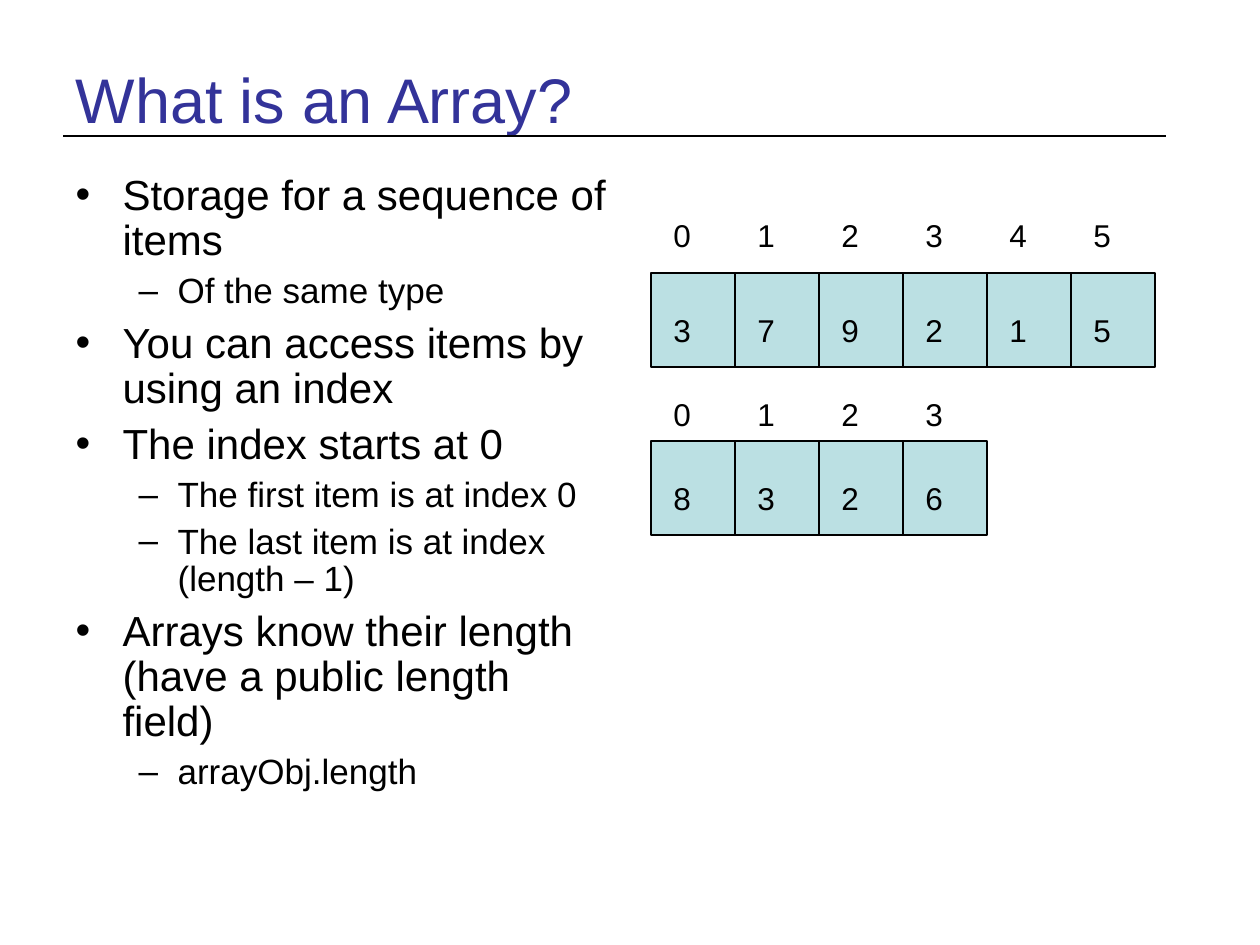
from dataclasses import dataclass

import pptx
import pptx.dml.color
import pptx.enum.shapes
import pptx.enum.text
import pptx.oxml.ns
import pptx.util
from lxml import etree

EMU_PER_PX = 914400 / 126


@dataclass(frozen=True)
class Theme:
    font: str = "Arial"
    ink: str = "000000"
    title: str = "333399"
    cell: str = "BBE0E3"
    title_size: int = 36
    cell_size: int = 18
    rule_width: float = 1.5
    cell_width: float = 0.75


@dataclass(frozen=True)
class BulletLevel:
    mark: str
    indent: int
    hanging: int
    size: int
    space_before: int


@dataclass(frozen=True)
class Point:
    text: str
    level: int = 0


@dataclass(frozen=True)
class ArrayDiagram:
    values: tuple[int, ...]
    top: int
    index_top: int
    dividers: int


THEME = Theme()
LEVELS = (BulletLevel("•", 47, 47, 24, 6), BulletLevel("–", 102, 39, 20, 5))

POINTS = (
    Point("Storage for a sequence of items"),
    Point("Of the same type", 1),
    Point("You can access items by using an index"),
    Point("The index starts at 0"),
    Point("The first item is at index 0", 1),
    Point("The last item is at index (length – 1)", 1),
    Point("Arrays know their length (have a public length field)"),
    Point("arrayObj.length", 1),
)

ARRAYS = (
    ArrayDiagram((3, 7, 9, 2, 1, 5), top=273, index_top=210, dividers=5),
    ArrayDiagram((8, 3, 2, 6), top=441, index_top=389, dividers=4),
)
ARRAY_LEFT = 651
CELL_WIDTH, CELL_HEIGHT = 84, 94
LABEL_WIDTH, LABEL_HEIGHT = 63, 50
LABEL_INSET = 10
VALUE_DROP = 32


def px(length: int) -> pptx.util.Emu:
    return pptx.util.Emu(round(length * EMU_PER_PX))


def rgb(color: str) -> pptx.dml.color.RGBColor:
    return pptx.dml.color.RGBColor.from_string(color)


def add_run(paragraph, text: str, size: int, color: str) -> None:
    run = paragraph.add_run()
    run.text = text
    run.font.name = THEME.font
    run.font.size = pptx.util.Pt(size)
    run.font.color.rgb = rgb(color)


def place(shape, left: int, top: int, width: int, height: int) -> None:
    shape.left, shape.top = px(left), px(top)
    shape.width, shape.height = px(width), px(height)


def add_line(slide, x1: int, y1: int, x2: int, y2: int, width: float) -> None:
    line = slide.shapes.add_connector(
        pptx.enum.shapes.MSO_CONNECTOR.STRAIGHT, px(x1), px(y1), px(x2), px(y2)
    )
    line.line.color.rgb = rgb(THEME.ink)
    line.line.width = pptx.util.Pt(width)
    properties = line.element.find(pptx.oxml.ns.qn("p:spPr"))
    etree.SubElement(properties, pptx.oxml.ns.qn("a:effectLst"))


def set_bullet(paragraph, level: BulletLevel) -> None:
    properties = paragraph._p.get_or_add_pPr()
    properties.set("marL", str(px(level.indent)))
    properties.set("indent", str(-px(level.hanging)))
    bullet_color = etree.SubElement(properties, pptx.oxml.ns.qn("a:buClr"))
    etree.SubElement(bullet_color, pptx.oxml.ns.qn("a:srgbClr"), val=THEME.ink)
    etree.SubElement(properties, pptx.oxml.ns.qn("a:buChar"), char=level.mark)


def write_title(slide, text: str) -> None:
    title = slide.shapes.title
    place(title, 63, 38, 1134, 120)
    frame = title.text_frame
    frame.auto_size = pptx.enum.text.MSO_AUTO_SIZE.NONE
    frame.vertical_anchor = pptx.enum.text.MSO_ANCHOR.MIDDLE
    heading = frame.paragraphs[0]
    heading.alignment = pptx.enum.text.PP_ALIGN.LEFT
    add_run(heading, text, THEME.title_size, THEME.title)


def write_points(slide, points: tuple[Point, ...]) -> None:
    body = slide.placeholders[1]
    place(body, 63, 168, 557, 677)
    frame = body.text_frame
    frame.auto_size = pptx.enum.text.MSO_AUTO_SIZE.NONE
    for number, point in enumerate(points):
        level = LEVELS[point.level]
        paragraph = frame.add_paragraph() if number else frame.paragraphs[0]
        set_bullet(paragraph, level)
        paragraph.level = point.level
        paragraph.line_spacing = 0.9
        paragraph.space_before = pptx.util.Pt(level.space_before if number else 0)
        add_run(paragraph, point.text, level.size, THEME.ink)


def add_label(slide, column: int, top: int, number: int) -> None:
    left = ARRAY_LEFT + column * CELL_WIDTH + LABEL_INSET
    label = slide.shapes.add_textbox(
        px(left), px(top), px(LABEL_WIDTH), px(LABEL_HEIGHT)
    )
    label.text_frame.word_wrap = True
    label.text_frame.auto_size = pptx.enum.text.MSO_AUTO_SIZE.SHAPE_TO_FIT_TEXT
    add_run(label.text_frame.paragraphs[0], str(number), THEME.cell_size, THEME.ink)


def draw_array(slide, array: ArrayDiagram) -> None:
    cells = slide.shapes.add_shape(
        pptx.enum.shapes.MSO_SHAPE.RECTANGLE,
        px(ARRAY_LEFT), px(array.top),
        px(len(array.values) * CELL_WIDTH), px(CELL_HEIGHT),
    )
    cells.shadow.inherit = False
    cells.fill.solid()
    cells.fill.fore_color.rgb = rgb(THEME.cell)
    cells.line.color.rgb = rgb(THEME.ink)
    cells.line.width = pptx.util.Pt(THEME.cell_width)

    for divider in range(1, array.dividers + 1):
        x = ARRAY_LEFT + divider * CELL_WIDTH
        add_line(slide, x, array.top, x, array.top + CELL_HEIGHT, THEME.cell_width)

    for index, value in enumerate(array.values):
        add_label(slide, index, array.top + VALUE_DROP, value)
        add_label(slide, index, array.index_top, index)


def main() -> None:
    presentation = pptx.Presentation()
    presentation.slide_width, presentation.slide_height = px(1260), px(945)
    slide = presentation.slides.add_slide(presentation.slide_layouts[1])

    # Title and its rule
    write_title(slide, "What is an Array?")
    add_line(slide, 63, 136, 1166, 136, THEME.rule_width)

    # Bulleted explanation
    write_points(slide, POINTS)

    # Array diagrams with their indices
    for array in ARRAYS:
        draw_array(slide, array)

    presentation.save("out.pptx")


if __name__ == "__main__":
    main()
